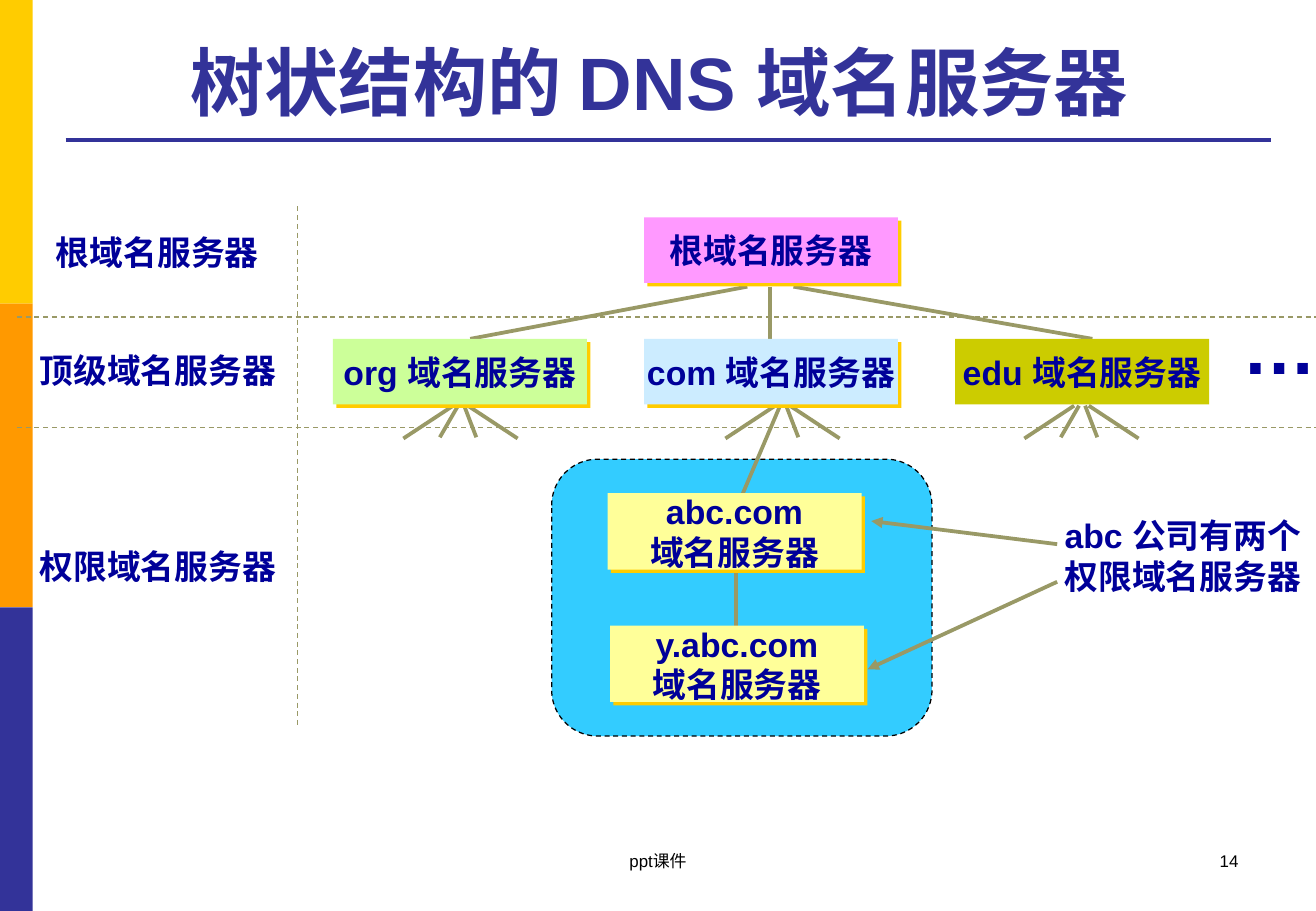
"""Draws the tree of DNS name servers on a grid of tenth-inch cells."""
from typing import NamedTuple, Optional

from lxml.etree import SubElement
from pptx import Presentation
from pptx.dml.color import RGBColor as Color
from pptx.enum.dml import MSO_LINE as Dash
from pptx.enum.shapes import MSO_CONNECTOR as Link
from pptx.enum.shapes import MSO_SHAPE as Form
from pptx.enum.text import MSO_ANCHOR as Anchor
from pptx.enum.text import PP_ALIGN as Align
from pptx.oxml.ns import qn
from pptx.util import Emu, Pt

WHITE = Color(0xFF, 0xFF, 0xFF)
BLACK = Color(0x00, 0x00, 0x00)
GOLD = Color(0xFF, 0xCC, 0x00)
ORANGE = Color(0xFF, 0x99, 0x00)
INDIGO = Color(0x33, 0x33, 0x99)
NAVY = Color(0x00, 0x00, 0x99)
OLIVE = Color(0x99, 0x99, 0x66)
SKY = Color(0x33, 0xCC, 0xFF)
PINK = Color(0xFF, 0x99, 0xFF)
GREEN = Color(0xCC, 0xFF, 0x99)
ICE = Color(0xCC, 0xEC, 0xFF)
MUSTARD = Color(0xCC, 0xCC, 0x00)
YELLOW = Color(0xFF, 0xFF, 0x99)

COLS, ROWS = 108.3, 75
CELL = 91440


class Area(NamedTuple):
    col: float
    row: float
    wide: float
    high: float


class Server(NamedTuple):
    text: str
    area: Area
    fill: Color
    shade: bool = True


class Label(NamedTuple):
    text: str
    area: Area
    size: int = 20
    color: Color = NAVY
    bold: bool = True
    align: Align = Align.CENTER
    anchor: Anchor = Anchor.TOP
    wrap: bool = False


class Stroke(NamedTuple):
    col: float
    row: float
    to_col: float
    to_row: float
    color: Color = OLIVE
    width: float = 2.25
    dash: Optional[Dash] = None
    arrow: bool = False


TIER = 27.9
WIDE, HIGH = 20.9, 5.4
SERVERS = [
    Server("根域名服务器", Area(53, 17.9, WIDE, HIGH), PINK),
    Server("org 域名服务器", Area(27.4, TIER, WIDE, HIGH), GREEN),
    Server("com 域名服务器", Area(53, TIER, WIDE, HIGH), ICE),
    Server("edu 域名服务器", Area(78.6, TIER, WIDE, HIGH), MUSTARD, False),
    Server("abc.com\n域名服务器", Area(50, 40.6, WIDE, 6.3), YELLOW),
    Server("y.abc.com\n域名服务器", Area(50.2, 51.5, WIDE, 6.3), YELLOW),
]
LABELS = [
    Label("树状结构的 DNS 域名服务器 ", Area(5.4, 2.1, 99.1, 8.7), 44, INDIGO,
          anchor=Anchor.BOTTOM, wrap=True),
    Label("根域名服务器", Area(3.5, 18.6, 18.9, 4.4)),
    Label("顶级域名服务器", Area(2.2, 28.3, 21.6, 4.4)),
    Label("权限域名服务器", Area(2.2, 44.4, 21.6, 4.4)),
    Label("…", Area(101.3, 24.2, 8.2, 8.4), 44, align=Align.LEFT),
    Label("abc 公司有两个\n权限域名服务器", Area(86.5, 41.9, 21.7, 7.7), wrap=True),
    Label("ppt课件", Area(37, 69.5, 34.3, 5), 10, BLACK, False, wrap=True),
    Label("14", Area(77.6, 69.5, 25.3, 5), 10, BLACK, False, Align.RIGHT, wrap=True),
]
TWIGS = [(0.6, 4.7, 2.7), (0.3, 1.3, 2.6), (-0.6, -4.7, 2.7), (-0.2, -1.7, 2.6)]
FORK = 33.4
HUBS = [37.9, 64.4, 89]
COM = HUBS[1]
FANS = [Stroke(hub + near, FORK, hub + far, FORK + drop)
        for hub in HUBS
        for near, far, drop in (TWIGS[:3] if hub == COM else TWIGS)]
STROKES = [
    Stroke(5.4, 11.5, 104.6, 11.5, INDIGO),
    Stroke(61.5, 23.6, 38.7, TIER),
    Stroke(63.4, 23.6, 63.4, TIER),
    Stroke(65.3, 23.6, 89.9, TIER),
    *FANS,
    Stroke(COM - 0.2, FORK, 61.1, 40.7),
    Stroke(60.6, 46.1, 60.6, 51.5),
    Stroke(87, 44.8, 71.7, 42.9, arrow=True),
    Stroke(87, 47.9, 71.4, 55.1, arrow=True),
    *[Stroke(1.4, row, 109.4, row, width=0.75, dash=Dash.DASH) for row in (26.1, 35.2)],
    Stroke(24.5, 17, 24.5, 59.7, width=0.75, dash=Dash.DASH),
]


def cells(*spans: float) -> list[Emu]:
    return [Emu(round(span * CELL)) for span in spans]


def apply(thing, values: dict) -> None:
    for name, value in values.items():
        setattr(thing, name, value)


def write(frame, label: Label) -> None:
    apply(frame, {"word_wrap": label.wrap, "vertical_anchor": label.anchor})
    face = {"name": "Arial", "size": Pt(label.size), "bold": label.bold}
    for spot, line in enumerate(label.text.split("\n")):
        para = frame.add_paragraph() if spot else frame.paragraphs[0]
        para.alignment = label.align
        run = para.add_run()
        run.text = line
        apply(run.font, face)
        run.font.color.rgb = label.color


def block(shapes, form: Form, area: Area, fill: Color):
    shape = shapes.add_shape(form, *cells(*area))
    shape.shadow.inherit = False
    shape.fill.solid()
    shape.fill.fore_color.rgb = fill
    shape.line.fill.background()
    return shape


def serve(shapes, server: Server) -> None:
    shape = block(shapes, Form.RECTANGLE, server.area, server.fill)
    write(shape.text_frame, Label(server.text, server.area, anchor=Anchor.MIDDLE))
    if server.shade:
        effects = shape._element.spPr.find(qn("a:effectLst"))
        cast = SubElement(effects, qn("a:outerShdw"), blurRad="0", dist=str(Pt(2.8)),
                          dir="2700000", algn="ctr", rotWithShape="0")
        SubElement(cast, qn("a:srgbClr"), val=str(GOLD))


def draw(shapes, stroke: Stroke) -> None:
    link = shapes.add_connector(Link.STRAIGHT, *cells(*stroke[:4]))
    link.line.color.rgb = stroke.color
    apply(link.line, {"width": Pt(stroke.width), "dash_style": stroke.dash})
    if stroke.arrow:
        SubElement(link.line._get_or_add_ln(), qn("a:tailEnd"), type="triangle")
    SubElement(link._element.spPr, qn("a:effectLst"))


def main() -> None:
    deck = Presentation()
    deck.slide_width, deck.slide_height = cells(COLS, ROWS)
    slide = deck.slides.add_slide(deck.slide_layouts[6])
    slide.background.fill.solid()
    slide.background.fill.fore_color.rgb = WHITE
    shapes = slide.shapes
    third = ROWS / 3
    for step, color in enumerate((GOLD, ORANGE, INDIGO)):
        block(shapes, Form.RECTANGLE, Area(0, step * third, 2.7, third), color)
    zone = block(shapes, Form.ROUNDED_RECTANGLE, Area(45.4, 37.8, 31.3, 22.8), SKY)
    zone.line.color.rgb = BLACK
    apply(zone.line, {"width": Pt(0.75), "dash_style": Dash.DASH})
    for stroke in STROKES:
        draw(shapes, stroke)
    for server in SERVERS:
        serve(shapes, server)
    for label in LABELS:
        write(shapes.add_textbox(*cells(*label.area)).text_frame, label)
    deck.save("out.pptx")


if __name__ == "__main__":
    main()
